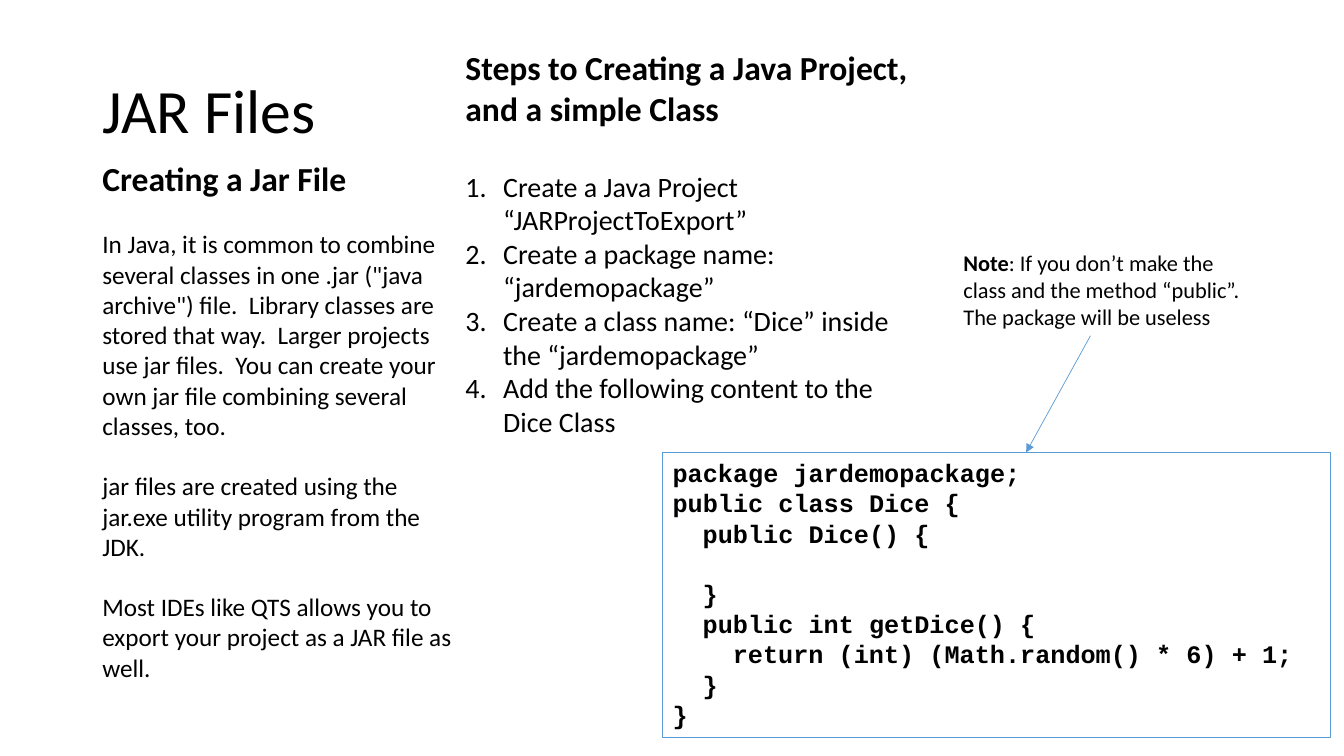
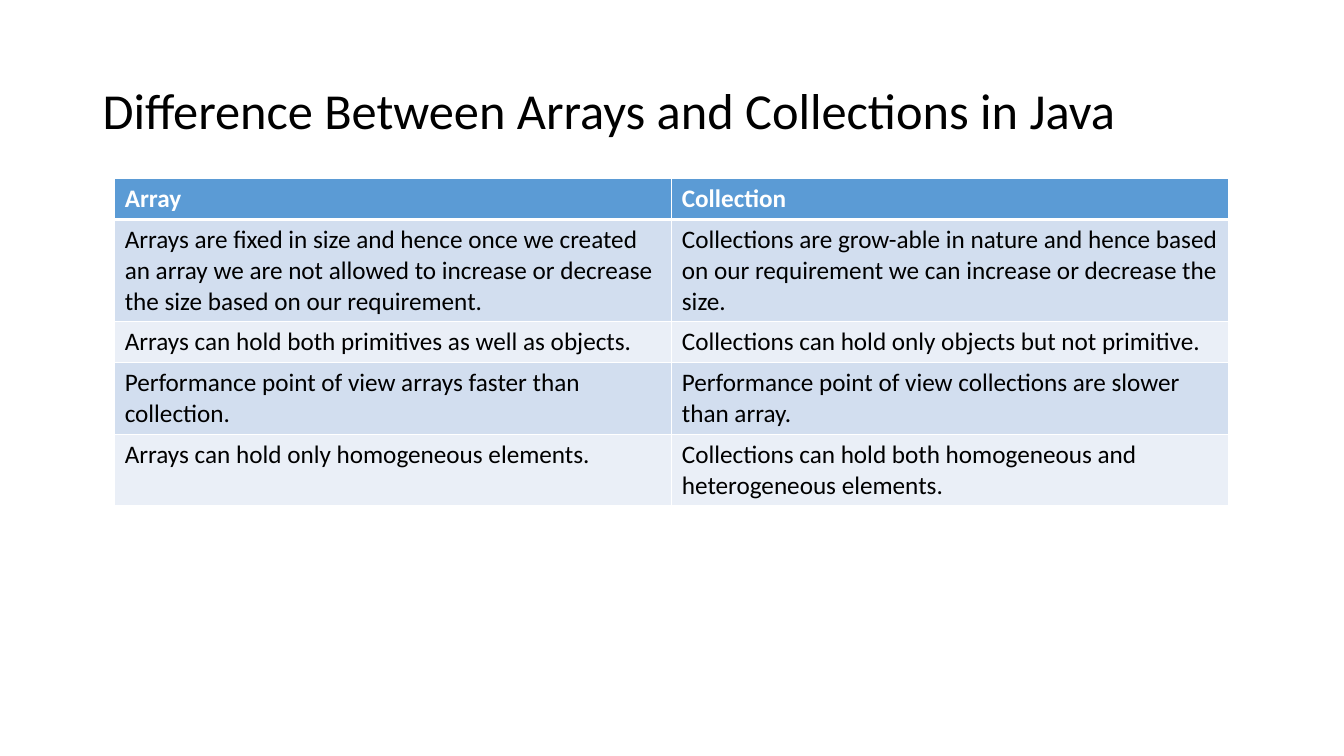
import lxml.etree
import pptx
import pptx.dml.color
import pptx.enum.shapes
import pptx.enum.text
import pptx.oxml.ns
import pptx.util

Cm, Pt = pptx.util.Cm, pptx.util.Pt
qn = pptx.oxml.ns.qn
ANCHOR = pptx.enum.text.MSO_ANCHOR

COLORS = {"text": "000000", "white": "FFFFFF", "accent": "5B9BD5",
          "band_dark": "D2DEEF", "band_light": "EAEFF7"}
BODY_FONT, CODE_FONT = "Calibri", "Courier New"

JAR_TITLE = "JAR Files"
JAR_HEADING = "Creating a Jar File"
JAR_PARAGRAPHS = [
    "In Java, it is common to combine several classes in one .jar (\"java archive\") file.  "
    "Library classes are stored that way.  Larger projects use jar files.  "
    "You can create your own jar file combining several classes, too.",
    "jar files are created using the jar.exe utility program from the JDK.",
    "Most IDEs like QTS allows you to export your project as a JAR file as well.",
]
STEPS_HEADING = "Steps to Creating a Java Project, and a simple Class"
STEPS = [
    "Create a Java Project “JARProjectToExport”",
    "Create a package name: “jardemopackage”",
    "Create a class name: “Dice” inside the “jardemopackage”",
    "Add the following content to the Dice Class",
]
NOTE = ("Note", ": If you don’t make the class and the method “public”. "
                "The package will be useless")
# (indent level, empty lines before, code)
CODE = [
    (0, 0, "package jardemopackage;"),
    (0, 0, "public class Dice {"),
    (1, 0, "public Dice() {"),
    (1, 1, "}"),
    (1, 0, "public int getDice() {"),
    (2, 0, "return (int) (Math.random() * 6) + 1;"),
    (1, 0, "}"),
    (0, 0, "}"),
]

TABLE_TITLE = "Difference Between Arrays and Collections in Java"
# (lines of text in the row, array cell, collection cell)
TABLE_ROWS = [
    (1, "Array", "Collection"),
    (3, "Arrays are fixed in size and hence once we created an array we are not allowed "
        "to increase or decrease the size based on our requirement.",
     "Collections are grow-able in nature and hence based on our requirement "
     "we can increase or decrease the size."),
    (1, "Arrays can hold both primitives as well as objects.",
     "Collections can hold only objects but not primitive."),
    (2, "Performance point of view arrays faster than collection.",
     "Performance point of view collections are slower than array."),
    (2, "Arrays can hold only homogeneous elements.",
     "Collections can hold both homogeneous and heterogeneous elements."),
]


def rgb(name):
    """Return the palette colour called name."""
    return pptx.dml.color.RGBColor.from_string(COLORS[name])


def add_run(p, text, size=18, bold=False, font=BODY_FONT, color="text"):
    """Add a formatted run to a paragraph."""
    r = p.add_run()
    r.text = text
    r.font.size, r.font.bold, r.font.name = Pt(size), bold, font
    r.font.color.rgb = rgb(color)


def add_text(tf, text, before=0, spacing=1.0, indent=0, numbered=False, **run_format):
    """Write a paragraph, using the frame's first one while it is empty."""
    p = tf.paragraphs[0]
    if p.runs:
        p = tf.add_paragraph()
    p.alignment = pptx.enum.text.PP_ALIGN.LEFT
    p.space_before, p.line_spacing = Pt(before), spacing
    pPr = p._p.get_or_add_pPr()
    pPr.set("marL", str(Cm(indent)))
    if numbered:
        pPr.set("indent", str(-Cm(indent)))
        lxml.etree.SubElement(pPr, qn("a:buAutoNum"), type="arabicPeriod")
    add_run(p, text, **run_format)
    return p


def add_box(s, left, top, width, height):
    """Add a wrapping text box and return its text frame."""
    sp = s.shapes.add_textbox(Cm(left), Cm(top), Cm(width), Cm(height))
    sp.text_frame.word_wrap = True
    return sp.text_frame


def add_slide(prs, title, size):
    """Add a title-only slide with the shared title style."""
    s = prs.slides.add_slide(prs.slide_layouts[5])
    sp = s.shapes.title
    sp.left, sp.top, sp.width, sp.height = Cm(2.33), Cm(1.01), Cm(29.21), Cm(3.68)
    tf = sp.text_frame
    tf.word_wrap = True
    tf.auto_size = pptx.enum.text.MSO_AUTO_SIZE.NONE
    tf.vertical_anchor = ANCHOR.MIDDLE
    add_text(tf, title, spacing=0.9, size=size)
    return s


def add_code(s, left, top, width, height):
    """Add the outlined code listing."""
    sp = s.shapes.add_shape(pptx.enum.shapes.MSO_SHAPE.RECTANGLE,
                            Cm(left), Cm(top), Cm(width), Cm(height))
    sp.shadow.inherit = False
    sp.fill.background()
    sp.line.color.rgb, sp.line.width = rgb("accent"), Pt(0.75)
    tf = sp.text_frame
    tf.word_wrap = True
    tf.vertical_anchor = ANCHOR.TOP
    for level, gap, line in CODE:
        add_text(tf, line, before=21.6 * gap, indent=0.76 * level,
                 bold=True, font=CODE_FONT)


def add_arrow(s, x1, y1, x2, y2):
    """Add a thin arrow that points at (x2, y2)."""
    sp = s.shapes.add_connector(pptx.enum.shapes.MSO_CONNECTOR.STRAIGHT,
                                Cm(x1), Cm(y1), Cm(x2), Cm(y2))
    sp.line.color.rgb, sp.line.width = rgb("accent"), Pt(0.5)
    lxml.etree.SubElement(sp.line._get_or_add_ln(), qn("a:tailEnd"), type="triangle")
    lxml.etree.SubElement(sp._element.spPr, qn("a:effectLst"))


def set_borders(cell, **widths):
    """Give a cell white borders with the given widths in points."""
    tcPr = cell._tc.get_or_add_tcPr()
    for side in "LRTB":
        ln = lxml.etree.SubElement(tcPr, qn("a:ln" + side), w=str(Pt(widths.get(side, 1))))
        fill = lxml.etree.SubElement(ln, qn("a:solidFill"))
        lxml.etree.SubElement(fill, qn("a:srgbClr"), val=COLORS["white"])


def add_comparison(s, left, top, col_width):
    """Add the table with a header row and banded body rows."""
    heights = [Cm(0.25 + 0.77 * lines) for lines, *_ in TABLE_ROWS]
    table = s.shapes.add_table(len(TABLE_ROWS), 2, Cm(left), Cm(top),
                               Cm(2 * col_width), sum(heights)).table
    for col in table.columns:
        col.width = Cm(col_width)
    for i, (_, *texts) in enumerate(TABLE_ROWS):
        table.rows[i].height = heights[i]
        header = i == 0
        fill = "accent" if header else ("band_light", "band_dark")[i % 2]
        for j, text in enumerate(texts):
            cell = table.cell(i, j)
            set_borders(cell, T=3 if i == 1 else 1, B=3 if header else 1)
            cell.fill.solid()
            cell.fill.fore_color.rgb = rgb(fill)
            add_text(cell.text_frame, text, bold=header,
                     color="white" if header else "text")


def build_jar_slide(prs):
    """Build the slide on JAR files."""
    s = add_slide(prs, JAR_TITLE, 44)

    tf = add_box(s, 2.33, 3.86, 9.6, 13.31)
    add_text(tf, JAR_HEADING, size=24, bold=True)
    for text in JAR_PARAGRAPHS:
        add_text(tf, text, before=21.6)

    tf = add_box(s, 11.48, 1.07, 11.94, 13.31)
    add_text(tf, STEPS_HEADING, size=24, bold=True)
    for i, step in enumerate(STEPS):
        add_text(tf, step, before=0 if i else 29.3, indent=0.95,
                 numbered=True, size=20)

    add_code(s, 16.7, 11.4, 16.84, 7.19)
    label, message = NOTE
    p = add_text(add_box(s, 24.03, 6.15, 7.9, 2.31), label, size=16, bold=True)
    add_run(p, message, size=16)
    add_arrow(s, 27.48, 8.46, 25.86, 11.4)


def build_table_slide(prs):
    """Build the slide comparing arrays and collections."""
    s = add_slide(prs, TABLE_TITLE, 36)
    add_comparison(s, 2.89, 4.5, 14.04)


prs = pptx.Presentation()
prs.slide_width, prs.slide_height = Cm(33.87), Cm(19.05)
build_jar_slide(prs)
build_table_slide(prs)
prs.save("out.pptx")
